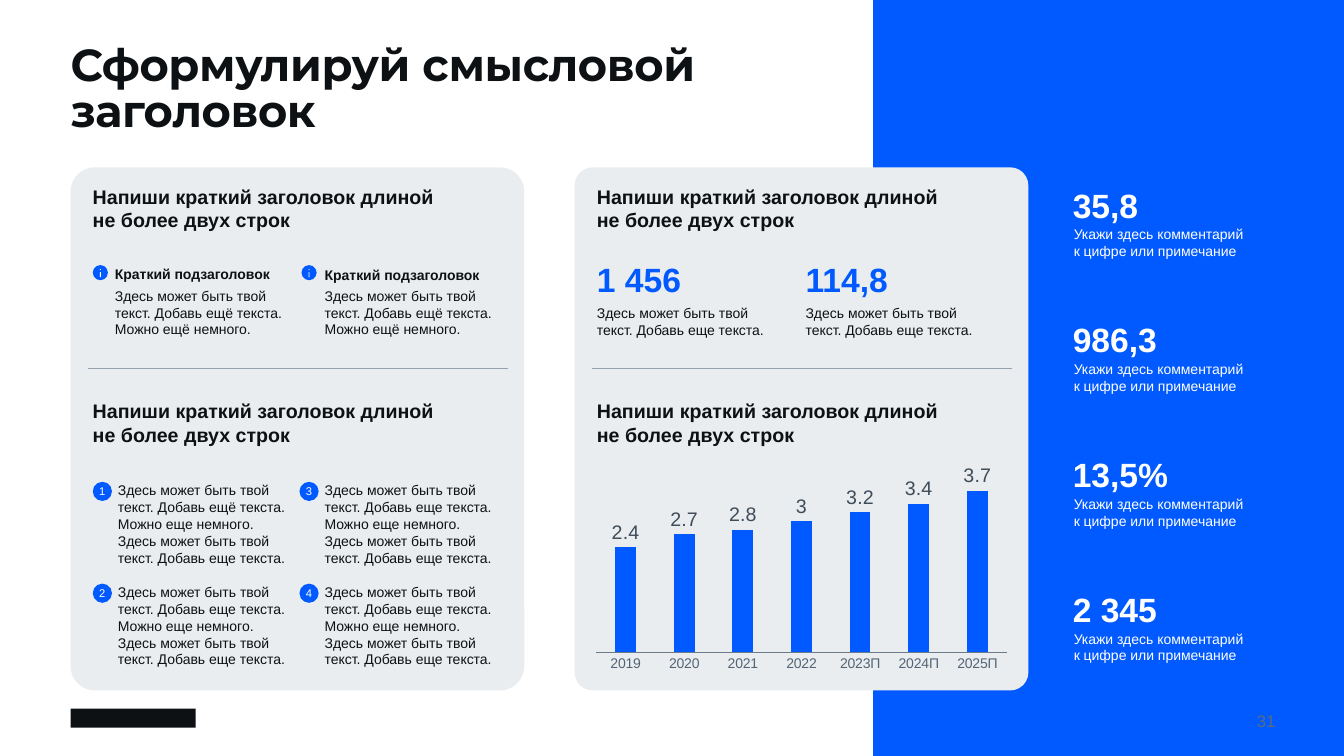
import pptx
import pptx.chart.data
import pptx.dml.color
import pptx.enum.chart
import pptx.enum.shapes
import pptx.enum.text
import pptx.oxml
import pptx.oxml.ns
import pptx.util

Inches = pptx.util.Inches
Pt = pptx.util.Pt
SHAPES = pptx.enum.shapes.MSO_SHAPE
ALIGN = pptx.enum.text.PP_ALIGN
MIDDLE = pptx.enum.text.MSO_ANCHOR.MIDDLE

BLUE, INK, WHITE, PANEL = "005AFF", "0E1114", "FFFFFF", "EAEDEF"
HEADING = "Напиши краткий заголовок длиной\nне более двух строк"
SHORT = "Здесь может быть твой текст. Добавь {} текста."
NOTE = "Укажи здесь комментарий к цифре или примечание"


def color(hex_code):
    """Turn a hex string into a colour."""
    return pptx.dml.color.RGBColor.from_string(hex_code)


def style_font(font, size, hex_code, bold=False, name="Arial"):
    """Set size, colour, weight and typeface of a font."""
    font.size, font.bold, font.name = Pt(size), bold, name
    font.color.rgb = color(hex_code)


def write(frame, words, size, hex_code, bold=False, name="Arial",
          align=ALIGN.LEFT, after=0, spacing=None):
    """Fill a text frame with one formatted paragraph."""
    frame.word_wrap = True
    frame.margin_left = frame.margin_right = frame.margin_top = frame.margin_bottom = 0
    paragraph = frame.paragraphs[0]
    paragraph.text = words
    paragraph.alignment = align
    paragraph.space_after = Pt(after)
    if spacing:
        paragraph.line_spacing = spacing
    for run in paragraph.runs:
        style_font(run.font, size, hex_code, bold, name)
    return paragraph


def add_text(slide, left, top, width, height, words, size, hex_code, **options):
    """Add a text box without insets."""
    box = slide.shapes.add_textbox(Inches(left), Inches(top), Inches(width), Inches(height))
    write(box.text_frame, words, size, hex_code, **options)
    return box


def add_block(slide, kind, left, top, width, height, hex_code):
    """Add a flat filled shape without outline."""
    block = slide.shapes.add_shape(kind, Inches(left), Inches(top), Inches(width), Inches(height))
    block.shadow.inherit = False
    block.fill.solid()
    block.fill.fore_color.rgb = color(hex_code)
    block.line.fill.background()
    return block


def add_panel(slide, left, top, width, height, corner):
    """Draw a card with two headings and a divider between its halves."""
    card = add_block(slide, SHAPES.ROUNDED_RECTANGLE, left, top, width, height, PANEL)
    card.adjustments[0] = corner
    for offset in (0.17, 2.3):
        add_text(slide, left + 0.22, top + offset, 3.76, 0.46, HEADING, 14, INK, bold=True)
    divider = slide.shapes.add_connector(
        pptx.enum.shapes.MSO_CONNECTOR.STRAIGHT,
        Inches(left + 0.17), Inches(top + 2), Inches(left + width - 0.16), Inches(top + 2))
    divider.line.color.rgb = color("96A3AE")
    divider.line.width = Pt(0.75)
    divider._element.spPr.append(pptx.oxml.parse_xml(
        f'<a:effectLst {pptx.oxml.ns.nsdecls("a")}/>'))


def add_info_icon(slide, left, top):
    """Draw a round information mark."""
    add_block(slide, SHAPES.OVAL, left, top, 0.15, 0.15, BLUE)
    add_block(slide, SHAPES.OVAL, left + 0.07, top + 0.04, 0.01, 0.01, WHITE)
    add_block(slide, SHAPES.ROUNDED_RECTANGLE, left + 0.07, top + 0.07, 0.01, 0.05, WHITE)


def add_subtopics(slide, left, top):
    """Place two subheadings with an icon and a text each."""
    for column, drop in enumerate((0, 0.01)):
        icon_left = left + 2.07 * column
        text_left = left + 0.22 + 2.08 * column
        add_info_icon(slide, icon_left, top)
        add_text(slide, text_left, top + drop, 1.66, 0.15, "Краткий подзаголовок",
                 10, INK, bold=True, after=6)
        add_text(slide, text_left, top + 0.22, 1.7, 0.46,
                 SHORT.format("ещё") + " Можно ещё немного.", 10, INK, after=6)


def add_numbered_list(slide, left, top):
    """Place four numbered texts, filled column by column."""
    for index in range(4):
        column, row = divmod(index, 2)
        item_top = top + 1.01 * row
        badge = add_block(slide, SHAPES.OVAL, left + 2.05 * column, item_top, 0.19, 0.19, BLUE)
        badge.text_frame.vertical_anchor = MIDDLE
        write(badge.text_frame, str(index + 1), 8, WHITE, align=ALIGN.CENTER)
        first = SHORT.format("еще" if index else "ещё")
        add_text(slide, left + 0.25 + 2.05 * column, item_top, 1.7, 0.83,
                 f"{first} Можно еще немного. {SHORT.format('еще')}", 10, INK, after=6)


def add_key_figures(slide, left, top):
    """Place two blue figures with a text below each."""
    for column, figure in enumerate(("1 456", "114,8")):
        figure_left = left + 2.07 * column
        add_text(slide, figure_left, top, 0.95, 0.34, figure, 24, BLUE,
                 bold=True, after=6, spacing=0.9)
        add_text(slide, figure_left, top + 0.41, 1.7, 0.29, SHORT.format("еще"),
                 10, INK, after=6)


def add_year_chart(slide, left, top, width, height):
    """Draw the yearly column chart."""
    years = pptx.chart.data.CategoryChartData()
    years.categories = ["2019", "2020", "2021", "2022", "2023П", "2024П", "2025П"]
    years.add_series("Series 1", (2.4, 2.7, 2.8, 3, 3.2, 3.4, 3.7))
    chart = slide.shapes.add_chart(
        pptx.enum.chart.XL_CHART_TYPE.COLUMN_CLUSTERED,
        Inches(left), Inches(top), Inches(width), Inches(height), years).chart
    style_font(chart.font, 10, INK)
    chart.has_legend = chart.has_title = False

    values = chart.value_axis
    values.visible = values.has_major_gridlines = False
    values.minimum_scale, values.maximum_scale = 0, 4
    axis = chart.category_axis
    axis.major_tick_mark = pptx.enum.chart.XL_TICK_MARK.NONE
    style_font(axis.tick_labels.font, 10, "536476")
    axis.format.line.color.rgb = color("6A7B89")
    axis.format.line.width = Pt(0.75)

    plot = chart.plots[0]
    plot.gap_width = 182
    plot.vary_by_categories = False
    bars = plot.series[0]
    bars.format.fill.solid()
    bars.format.fill.fore_color.rgb = color(BLUE)
    labels = bars.data_labels
    labels.show_value = True
    labels.position = pptx.enum.chart.XL_LABEL_POSITION.OUTSIDE_END
    style_font(labels.font, 14, "3F4C5A")

    area = chart._chartSpace.chart.plotArea
    for old in area.findall(pptx.oxml.ns.qn("c:layout")):
        area.remove(old)
    area.insert(0, pptx.oxml.parse_xml(
        f'<c:layout {pptx.oxml.ns.nsdecls("c")}><c:manualLayout>'
        '<c:layoutTarget val="inner"/><c:xMode val="edge"/><c:yMode val="edge"/>'
        '<c:x val="0.02"/><c:y val="0.06"/><c:w val="0.96"/><c:h val="0.83"/>'
        '</c:manualLayout></c:layout>'))


def add_sidebar(slide, left, top, width, height):
    """Draw the blue band with four figures and notes."""
    add_block(slide, SHAPES.RECTANGLE, left, top, width, height, BLUE)
    for row, figure in enumerate(("35,8", "986,3", "13,5%", "2 345")):
        figure_top = top + 1.83 + 1.337 * row
        add_text(slide, left + 1.98, figure_top, 0.95, 0.34, figure, 24, WHITE,
                 bold=True, after=6)
        add_text(slide, left + 1.99, figure_top + 0.41, 1.7, 0.29, NOTE, 10, WHITE, after=6)


def add_title(slide, left, top, width, height):
    """Write the slide title."""
    title = add_text(slide, left, top, width, height, "Сформулируй смысловой заголовок",
                     32, INK, bold=True, name="Montserrat", spacing=0.85)
    for run in title.text_frame.paragraphs[0].runs:
        run._r.get_or_add_rPr().set("spc", "-30")


def add_footer(slide, left, top, width):
    """Place the brand bar and the slide number."""
    add_block(slide, SHAPES.RECTANGLE, left, top, 1.24, 0.19, INK)
    number = add_text(slide, left + width - 0.99, top, 0.99, 0.24, "31", 12, "5A6C7D",
                      align=ALIGN.RIGHT)
    number.text_frame.vertical_anchor = MIDDLE


def main():
    """Build the slide and save it."""
    deck = pptx.Presentation()
    deck.slide_width, deck.slide_height = Inches(13.33), Inches(7.5)
    slide = deck.slides.add_slide(deck.slide_layouts[6])
    add_sidebar(slide, 8.66, 0, 4.67, 7.5)
    add_title(slide, 0.7, 0.45, 7.25, 0.75)
    add_panel(slide, 0.7, 1.66, 4.5, 5.19, 0.054)
    add_subtopics(slide, 0.92, 2.63)
    add_numbered_list(slide, 0.92, 4.78)
    add_panel(slide, 5.7, 1.66, 4.5, 5.19, 0.04)
    add_key_figures(slide, 5.92, 2.61)
    add_year_chart(slide, 5.83, 4.61, 4.24, 2.09)
    add_footer(slide, 0.7, 7.03, 11.95)
    deck.save("out.pptx")


if __name__ == "__main__":
    main()
